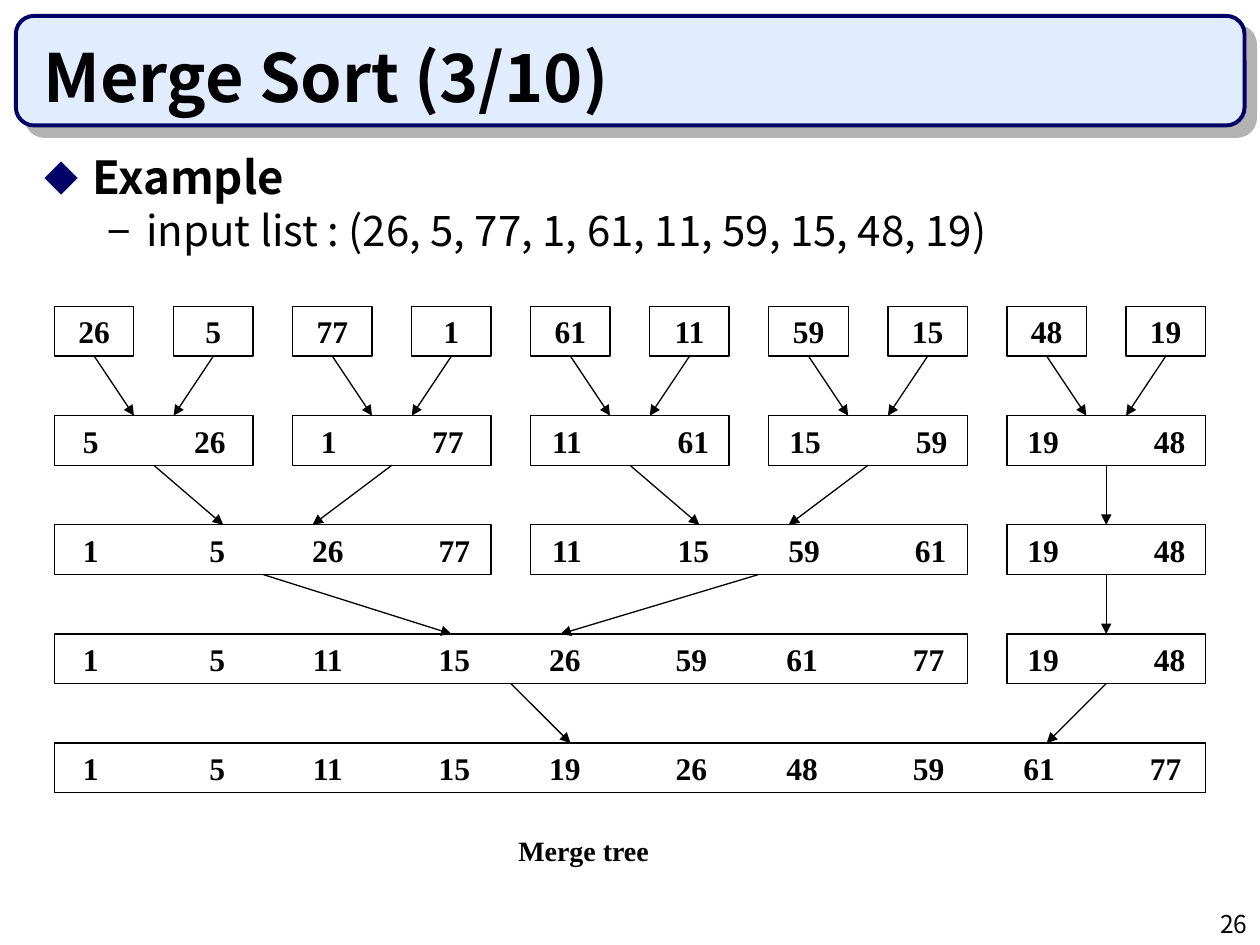
from lxml.etree import SubElement
from pptx import Presentation
from pptx.dml.color import RGBColor
from pptx.enum.shapes import MSO_CONNECTOR, MSO_SHAPE
from pptx.enum.text import MSO_ANCHOR, MSO_AUTO_SIZE, PP_ALIGN
from pptx.oxml.ns import qn
from pptx.util import Cm, Pt

COLORS = {"ink": "000000", "navy": "000066", "banner": "E1ECFF", "shadow": "B2B2B2"}
SANS, SERIF = "Noto Sans CJK KR", "Times New Roman"

INPUT_LIST = [26, 5, 77, 1, 61, 11, 59, 15, 48, 19]
LEVEL_SPANS = [[1] * 10, [2] * 5, [4, 4, 2], [8, 2], [10]]
ARROW_TARGETS = [(), (1.6, 2.4), (3.4, 5.2), (8, 10.2), (10.4, 20)]
ARROW_SHIFTS = [0, 0, 0, 0.2, 0]
COLUMN_PITCH, COLUMN_GAP = 2.4, 0.8
ROW_PITCH, ROW_HEIGHT = 2.2, 1


def color(name):
    """Return the named palette colour."""
    return RGBColor.from_string(COLORS[name])


def add_span(para, text, size, font, bold=False):
    """Add one formatted run to a paragraph."""
    span = para.add_run()
    span.text = text
    span.font.size = Pt(size)
    span.font.name = font
    span.font.bold = bold
    span.font.color.rgb = color("ink")


def add_text_box(page, left, top, width, height):
    """Add a wrapping text box and return its text frame."""
    frame = page.shapes.add_textbox(Cm(left), Cm(top), Cm(width), Cm(height)).text_frame
    frame.word_wrap = True
    return frame


def add_bullet(para, character, tint, percent, margin, indent):
    """Give a paragraph a hanging bullet."""
    properties = para._p.get_or_add_pPr()
    properties.set("marL", str(Cm(margin)))
    properties.set("indent", str(Cm(-indent)))
    bullet_color = SubElement(properties, qn("a:buClr"))
    SubElement(bullet_color, qn("a:srgbClr"), val=COLORS[tint])
    SubElement(properties, qn("a:buSzPct"), val=str(percent * 1000))
    SubElement(properties, qn("a:buFont"), typeface=SANS)
    SubElement(properties, qn("a:buChar"), char=character)


def add_center_tabs(para, positions):
    """Set centred tab stops on a paragraph."""
    tabs = SubElement(para._p.get_or_add_pPr(), qn("a:tabLst"))
    for position in positions:
        SubElement(tabs, qn("a:tab"), pos=str(Cm(position)), algn="ctr")


def add_banner(page, left, top, width, height):
    """Draw the shadowed banner with the title on it."""
    banner = page.shapes.add_shape(
        MSO_SHAPE.ROUNDED_RECTANGLE, Cm(left), Cm(top), Cm(width), Cm(height))
    banner.fill.solid()
    banner.fill.fore_color.rgb = color("banner")
    banner.line.color.rgb = color("navy")
    banner.line.width = Pt(2.25)
    effects = SubElement(banner.element.spPr, qn("a:effectLst"))
    shadow = SubElement(effects, qn("a:outerShdw"), dist=str(Pt(8.5)),
                        dir="2700000", algn="ctr", rotWithShape="0")
    SubElement(shadow, qn("a:srgbClr"), val=COLORS["shadow"])

    title = page.shapes.title
    title.element.addprevious(banner.element)
    title.left, title.top = Cm(left + 0.3), Cm(top + 0.3)
    title.width, title.height = Cm(width - 0.84), Cm(height - 0.5)
    frame = title.text_frame
    frame.auto_size = MSO_AUTO_SIZE.NONE
    frame.vertical_anchor = MSO_ANCHOR.BOTTOM
    frame.margin_top = frame.margin_bottom = 0
    para = frame.paragraphs[0]
    para.alignment = PP_ALIGN.LEFT
    add_span(para, "Merge Sort (3/10)", 38, SANS, True)


def add_outline(page, left, top, width, height):
    """Write the two bulleted lines."""
    frame = add_text_box(page, left, top, width, height)
    heading = frame.paragraphs[0]
    heading.line_spacing = 0.8
    add_bullet(heading, "◆", "navy", 75, 0.97, 0.97)
    add_span(heading, "Example", 26, SANS, True)
    detail = frame.add_paragraph()
    detail.line_spacing = 0.8
    detail.space_before = Pt(6)
    add_bullet(detail, "−", "ink", 100, 2.06, 0.79)
    numbers = ", ".join(map(str, INPUT_LIST))
    add_span(detail, f"input list : ({numbers})", 24, SANS)


def add_node(page, left, top, width, values):
    """Draw one sorted run of the tree."""
    box = page.shapes.add_shape(
        MSO_SHAPE.RECTANGLE, Cm(left), Cm(top), Cm(width), Cm(ROW_HEIGHT))
    box.shadow.inherit = False
    box.fill.background()
    box.line.color.rgb = color("ink")
    box.line.width = Pt(0.75)
    frame = box.text_frame
    frame.word_wrap = True
    frame.vertical_anchor = MSO_ANCHOR.MIDDLE
    frame.margin_left = frame.margin_right = 0
    para = frame.paragraphs[0]
    if len(values) == 1:
        para.alignment = PP_ALIGN.CENTER
        add_span(para, str(values[0]), 18, SERIF, True)
        return box
    para.alignment = PP_ALIGN.LEFT
    gap = 2.4 if len(values) == 2 and values[0] < 10 else 2.55
    add_center_tabs(para, [0.73 + 4.78 * (index // 2) + gap * (index % 2)
                           for index in range(len(values))])
    add_span(para, "".join(f"\t{value}" for value in values), 18, SERIF, True)
    return box


def add_arrow(page, source, target, shift=0, offset=None):
    """Lead an arrow from a run down to the run it is merged into."""
    start = source.left + source.width // 2 + Cm(shift)
    end = target.left + (target.width // 2 if offset is None else Cm(offset))
    arrow = page.shapes.add_connector(
        MSO_CONNECTOR.STRAIGHT, start, source.top + source.height, end, target.top)
    if shift == 0:
        arrow.begin_connect(source, 2)
    if offset is None:
        arrow.end_connect(target, 0)
    arrow.line.color.rgb = color("ink")
    arrow.line.width = Pt(0.75)
    SubElement(arrow.line._get_or_add_ln(), qn("a:tailEnd"), type="triangle")
    SubElement(arrow.element.spPr, qn("a:effectLst"))


def add_merge_tree(page, left, top):
    """Draw every merge level, its arrows and the caption."""
    previous = []
    for level, spans in enumerate(LEVEL_SPANS):
        column, current = 0, []
        for span in spans:
            values = sorted(INPUT_LIST[column:column + span])
            node = add_node(page, left + column * COLUMN_PITCH, top + level * ROW_PITCH,
                            span * COLUMN_PITCH - COLUMN_GAP, values)
            sources = [box for first, box in previous if column <= first < column + span]
            if len(sources) == 1:
                add_arrow(page, sources[0], node)
            else:
                shift = ARROW_SHIFTS[level]
                for source, side, offset in zip(sources, (-1, 1), ARROW_TARGETS[level]):
                    add_arrow(page, source, node, side * shift, offset)
            current.append((column, node))
            column += span
        previous = current
    caption = add_text_box(page, left + 9.1, top + 10.5, 5.05, 0.94)
    add_span(caption.paragraphs[0], "Merge tree", 16, SERIF, True)


def add_page_number(page, left, top, width, height):
    """Write the page number at the right edge."""
    para = add_text_box(page, left, top, width, height).paragraphs[0]
    para.alignment = PP_ALIGN.RIGHT
    add_span(para, "26", 14, SANS)


def main():
    """Build and save the deck."""
    deck = Presentation()
    deck.slide_width, deck.slide_height = Cm(25.4), Cm(19.05)
    page = deck.slides.add_slide(deck.slide_layouts[5])
    add_banner(page, 0.32, 0.32, 24.77, 2.21)
    add_outline(page, 0.64, 3.1, 23.93, 2.97)
    add_merge_tree(page, 1.1, 6.18)
    add_page_number(page, 20.12, 18.2, 5.28, 0.85)
    deck.save("out.pptx")


if __name__ == "__main__":
    main()
